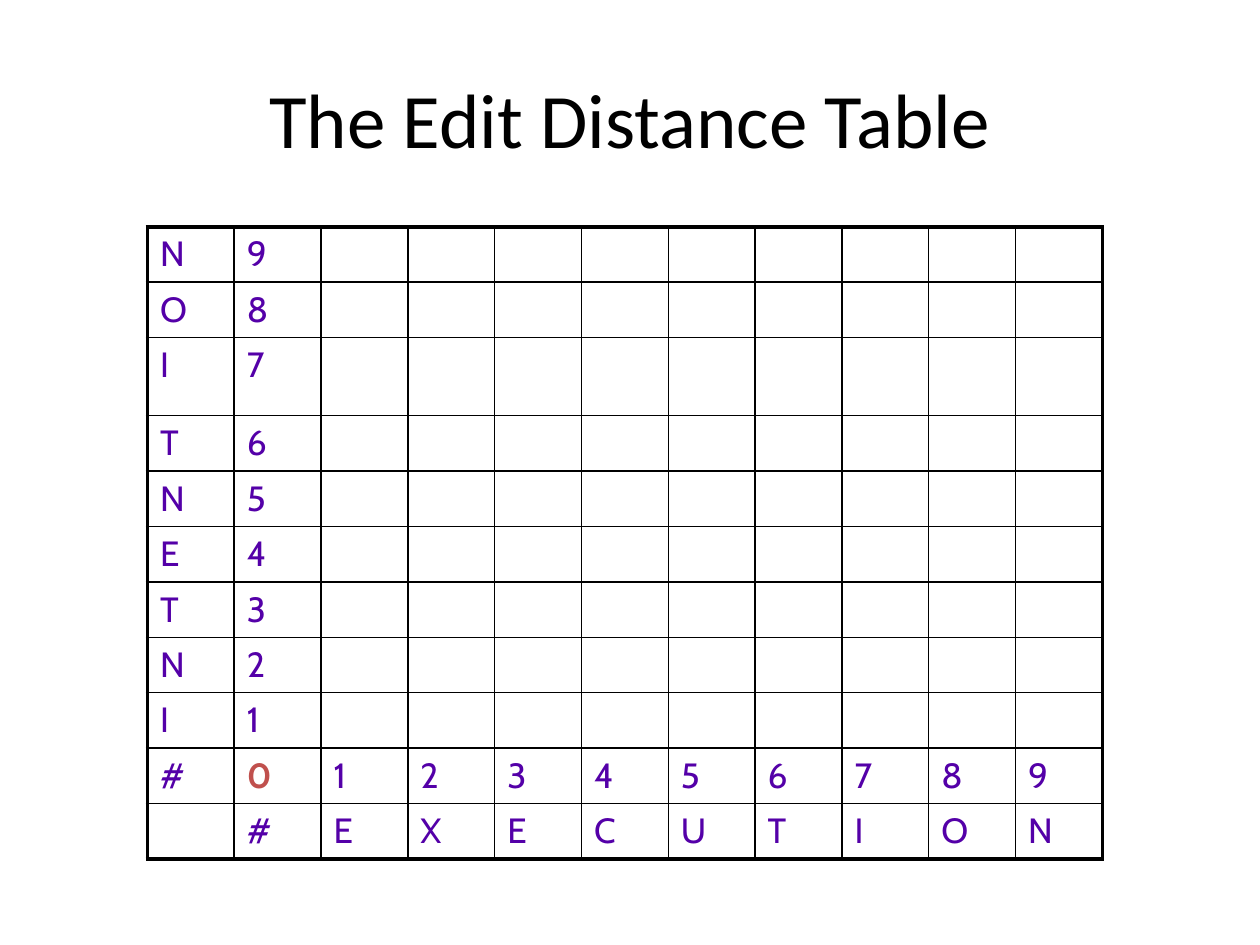
from dataclasses import dataclass

import lxml.etree
import pptx
import pptx.dml.color
import pptx.enum.text
import pptx.oxml.ns
import pptx.util

INK = pptx.dml.color.RGBColor(0x00, 0x00, 0x00)
VIOLET = pptx.dml.color.RGBColor(0x54, 0x00, 0xA8)
RED = pptx.dml.color.RGBColor(0xC0, 0x50, 0x4D)

WIDE, HIGH = 10, 7.5
THIN, THICK = 1, 2.25
SOURCE, TARGET = "#INTENTION", "#EXECUTION"
SIZE = len(SOURCE) + 1
TALL_ROW = 2


@dataclass
class Box:
    """Left, top, width and height as shares of the slide."""
    left: float
    top: float
    width: float
    height: float

    def place(self) -> list[int]:
        return [pptx.util.Inches(self.left * WIDE), pptx.util.Inches(self.top * HIGH),
                pptx.util.Inches(self.width * WIDE), pptx.util.Inches(self.height * HIGH)]


@dataclass
class Entry:
    row: int
    col: int
    text: str
    color: pptx.dml.color.RGBColor = VIOLET
    bold: bool = False


def add_title(slide, box: Box, text: str) -> None:
    frame = slide.shapes.add_textbox(*box.place()).text_frame
    frame.word_wrap = True
    frame.vertical_anchor = pptx.enum.text.MSO_ANCHOR.MIDDLE
    line = frame.paragraphs[0]
    line.text = text
    line.alignment = pptx.enum.text.PP_ALIGN.CENTER
    line.font.name, line.font.size = "Calibri", pptx.util.Pt(44)
    line.font.color.rgb = INK


def add_border(cell, side: str, width: float) -> None:
    name = pptx.oxml.ns.qn
    edge = lxml.etree.SubElement(cell._tc.get_or_add_tcPr(), name(f"a:ln{side}"),
                                 w=str(pptx.util.Pt(width)))
    fill = lxml.etree.SubElement(edge, name("a:solidFill"))
    lxml.etree.SubElement(fill, name("a:srgbClr"), val=str(INK))


def style_cell(cell, row: int, col: int) -> None:
    last = SIZE - 1
    outer = {"L": col == 0, "R": col == last, "T": row == 0, "B": row == last}
    for side, thick in outer.items():
        add_border(cell, side, THICK if thick else THIN)
    cell.fill.background()


def write_cell(cell, entry: Entry) -> None:
    line = cell.text_frame.paragraphs[0]
    line.text = entry.text
    line.font.name, line.font.size = "Cabin", pptx.util.Pt(20)
    line.font.color.rgb = entry.color
    line.font.bold = entry.bold


def list_entries() -> list[Entry]:
    """The source word runs up the left side, the target along the foot."""
    base = SIZE - 2
    entries = []
    for step, (up, along) in enumerate(zip(SOURCE, TARGET)):
        entries.append(Entry(base - step, 0, up))
        entries.append(Entry(base + 1, step + 1, along))
        if step:
            entries.append(Entry(base - step, 1, str(step)))
            entries.append(Entry(base, step + 1, str(step)))
    entries.append(Entry(base, 1, "0", RED, True))
    return entries


def add_grid(slide, box: Box) -> None:
    table = slide.shapes.add_table(SIZE, SIZE, *box.place()).table
    table.first_row = table.horz_banding = False
    for col in table.columns:
        col.width = pptx.util.Inches(box.width * WIDE / SIZE)
    for index, row in enumerate(table.rows):
        row.height = pptx.util.Inches(0.62 if index == TALL_ROW else 0.44)
        for place, cell in enumerate(row.cells):
            style_cell(cell, index, place)
    for entry in list_entries():
        write_cell(table.cell(entry.row, entry.col), entry)


def main() -> None:
    deck = pptx.Presentation()
    deck.slide_width = pptx.util.Inches(WIDE)
    deck.slide_height = pptx.util.Inches(HIGH)
    slide = deck.slides.add_slide(deck.slide_layouts[6])
    # Distance table
    add_grid(slide, Box(0.117, 0.24, 0.758, 0.67))
    # Heading
    add_title(slide, Box(0.05, 0.04, 0.9, 0.17), "The Edit Distance Table")
    deck.save("out.pptx")


if __name__ == "__main__":
    main()
